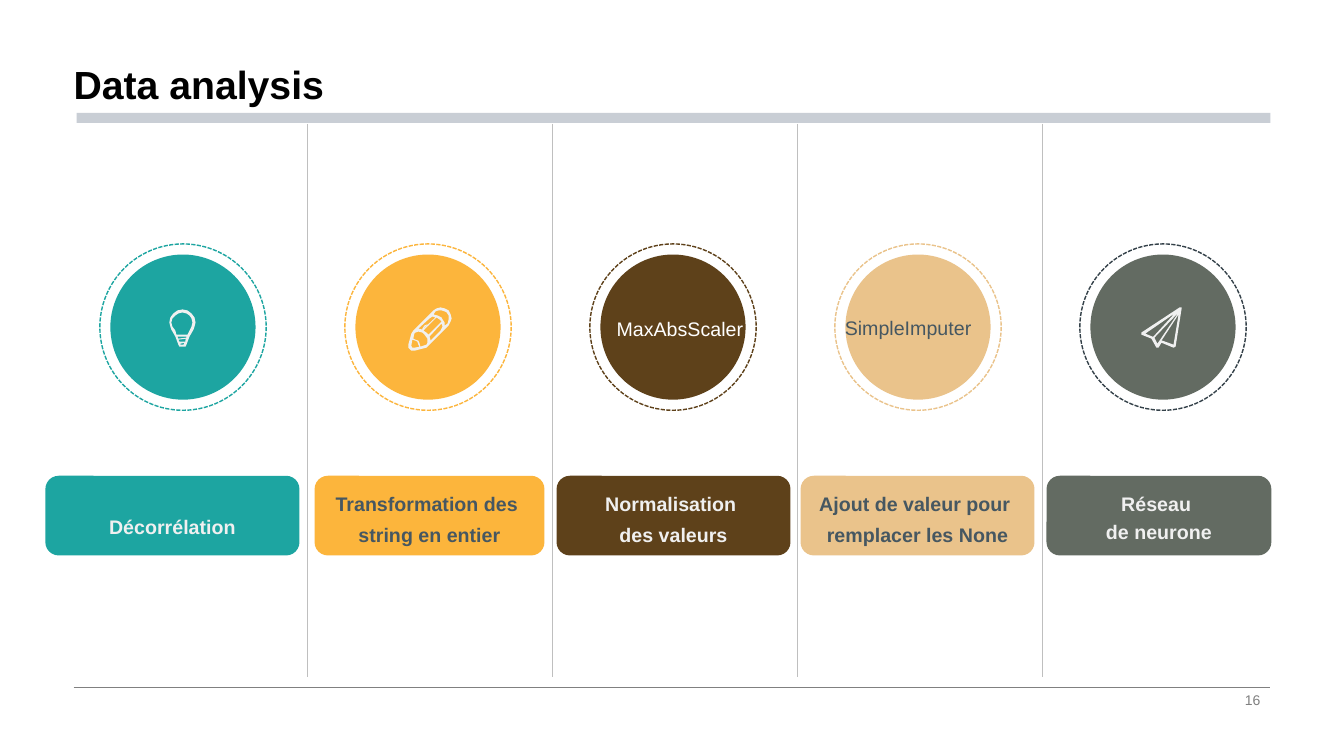
import pptx
import pptx.util
import pptx.dml.color
import pptx.enum.dml
import pptx.enum.shapes
import pptx.enum.text
import pptx.oxml

Inch, Pt = pptx.util.Inches, pptx.util.Pt
Kind = pptx.enum.shapes.MSO_SHAPE
Align = pptx.enum.text.PP_ALIGN
Anchor = pptx.enum.text.MSO_ANCHOR

# Content: label lines, fill, ring, text colour, bar left, bar width, line spacing
TITLE, PAGE = "Data analysis", "16"
PALE, SLATE = "F0F0F0", "465761"
STEPS = [
    (["Décorrélation"], "1DA5A1", "1DA5A1", PALE, 0.45, 2.52, 1.9),
    (["Transformation des ", "string en entier"], "FCB53C", "FCB53C", SLATE, 3.12, 2.28, 1.3),
    (["Normalisation ", "des valeurs"], "5E411A", "5E411A", PALE, 5.52, 2.32, 1.3),
    (["Ajout de valeur pour ", "remplacer les None"], "EAC38B", "EAC38B", SLATE, 7.94, 2.32, 1.3),
    (["Réseau ", "de neurone"], "636B62", "344149", PALE, 10.38, 2.23, 1.2),
]
TOOLS = [
    ("MaxAbsScaler", 5.82, 3.09, 1.65, "FFFFFF", Align.RIGHT),
    ("SimpleImputer", 8.28, 3.08, 1.71, SLATE, Align.LEFT),
]

# Icon outlines in hundredths of an inch, from each icon's own corner
BULB = [
    [(13, 0), (8, 1), (4, 4), (1, 8), (0, 13), (1, 17), (2, 20), (6, 27), (9, 35), (10, 37), (13, 37),
     (16, 37), (17, 35), (20, 27), (24, 20), (25, 17), (26, 13), (25, 8), (22, 4), (18, 1)],
    [(16, 32), (10, 32), (9, 30), (17, 29), (16, 30)],
    [(9, 29), (8, 27), (17, 27), (17, 28)],
    [(13, 35), (11, 35), (11, 34), (15, 33), (14, 35)],
    [(18, 25), (7, 25), (6, 21), (3, 17), (2, 13), (3, 9), (6, 6), (9, 4), (13, 3), (17, 4), (20, 6),
     (22, 9), (23, 13), (22, 17), (20, 21)],
]
PENCIL = [
    [(40, 3), (36, 1), (32, 0), (28, 1), (25, 3), (5, 23), (3, 26), (0, 37), (0, 40), (3, 43), (6, 43),
     (18, 40), (20, 38), (40, 18), (42, 14), (43, 11), (42, 7)],
    [(22, 32), (21, 29), (33, 16), (34, 19), (33, 21), (32, 23), (22, 33)],
    [(20, 27), (18, 25), (15, 23), (28, 10), (31, 12), (33, 14)],
    [(14, 22), (10, 21), (21, 11), (24, 9), (27, 10)],
    [(6, 40), (4, 40), (3, 38), (4, 32), (7, 33), (9, 34), (10, 37), (11, 39)],
    [(12, 39), (11, 35), (10, 33), (7, 32), (5, 31), (6, 26), (7, 25), (10, 24), (14, 25), (16, 27),
     (19, 31), (19, 35), (18, 37)],
    [(39, 16), (36, 18), (36, 15), (34, 12), (33, 10), (29, 8), (25, 7), (27, 4), (30, 3), (33, 3),
     (36, 4), (38, 5), (40, 8), (40, 12)],
]
SHINE = [[(6, 0), (4, 0), (2, 1), (0, 4), (0, 5), (1, 6), (2, 5), (2, 3), (4, 1), (6, 1)]]
PLANE = [
    [(39, 0), (38, 0), (0, 25), (0, 27), (10, 31), (15, 40), (17, 40), (20, 35), (32, 40), (34, 39),
     (40, 1), (40, 0)],
    [(4, 26), (33, 6), (12, 29), (11, 29)],
    [(13, 30), (37, 5), (16, 36)],
    [(32, 37), (21, 33), (20, 33), (37, 7)],
]
ICONS = [(BULB, 1.68, 3.07), (PENCIL, 4.05, 3.05), (SHINE, 4.19, 3.22), (PLANE, 11.32, 3.05)]

# Grid
WIDE, HIGH = 13.33, 7.5
PITCH, RING, DISC = 2.43, 1.65, 1.44
RING_X, RING_Y = 0.99, 2.42
BAR_Y, BAR_H = 4.72, 0.79


def rgb(code):
    return pptx.dml.color.RGBColor.from_string(code)


def box(*sides):
    return [Inch(side) for side in sides]


def paint(shape, fill=None):
    shape.shadow.inherit = False
    shape.line.fill.background()
    if fill:
        shape.fill.solid()
        shape.fill.fore_color.rgb = rgb(fill)
    else:
        shape.fill.background()
    return shape


def rule(x1, y1, x2, y2, code, width):
    line = slide.shapes.add_connector(
        pptx.enum.shapes.MSO_CONNECTOR.STRAIGHT, *box(x1, y1, x2, y2))
    line.line.color.rgb = rgb(code)
    line.line.width = Pt(width)
    line._element.spPr.append(pptx.oxml.parse_xml(
        '<a:effectLst xmlns:a="http://schemas.openxmlformats.org/drawingml/2006/main"/>'))


def write(shape, lines, size, code, align, bold=False, gap=None, anchor=Anchor.MIDDLE):
    frame = shape.text_frame
    frame.text = "\n".join(lines)
    frame.vertical_anchor = anchor
    for para in frame.paragraphs:
        para.alignment = align
        para.line_spacing = gap
        for run in para.runs:
            run.font.name, run.font.size, run.font.bold = "Arial", Pt(size), bold
            run.font.color.rgb = rgb(code)
    return frame


def trace(parts, left, top):
    pen = slide.shapes.build_freeform(*parts[0][0], scale=Inch(0.01))
    for i, part in enumerate(parts):
        if i:
            pen.move_to(*part[0])
        pen.add_line_segments(part[1:], close=True)
    paint(pen.convert_to_shape(*box(left, top)), PALE)


deck = pptx.Presentation()
deck.slide_width, deck.slide_height = box(WIDE, HIGH)
slide = deck.slides.add_slide(deck.slide_layouts[5])

# Title, band and footer
rule(0.73, 6.82, 12.6, 6.82, "808080", 0.5)
paint(slide.shapes.add_shape(Kind.RECTANGLE, *box(0.76, 1.12, 11.84, 0.1)), "C9CED5")
head = slide.shapes.title
head.left, head.top, head.width, head.height = box(0.73, 0, 11.87, 1.12)
frame = write(head, [TITLE], 28, "000000", Align.LEFT, True, 0.9, Anchor.BOTTOM)
frame.margin_left = frame.margin_right = 0
page = slide.shapes.add_textbox(*box(9.42, 6.83, 3.18, 0.23))
write(page, [PAGE], 10, "808080", Align.RIGHT)

# One column per step: disc, dashed ring, label bar
inset = (RING - DISC) / 2
for i, (lines, fill, edge, ink, left, width, gap) in enumerate(STEPS):
    x = RING_X + i * PITCH
    paint(slide.shapes.add_shape(
        Kind.OVAL, *box(x + inset, RING_Y + inset, DISC, DISC)), fill)
    ring = paint(slide.shapes.add_shape(Kind.OVAL, *box(x, RING_Y, RING, RING)))
    ring.line.color.rgb = rgb(edge)
    ring.line.width = Pt(1)
    ring.line.dash_style = pptx.enum.dml.MSO_LINE.SQUARE_DOT
    bar = paint(slide.shapes.add_shape(
        Kind.ROUNDED_RECTANGLE, *box(left, BAR_Y, width, BAR_H)), fill)
    write(bar, lines, 14, ink, Align.CENTER, True, gap).word_wrap = False

# Column dividers
for i in range(1, len(STEPS)):
    x = 0.62 + i * PITCH
    rule(x, 1.23, x, 6.72, "BFBFBF", 0.25)

# Icons and tool names
for icon in ICONS:
    trace(*icon)
for name, left, top, width, ink, align in TOOLS:
    label = slide.shapes.add_textbox(*box(left, top, width, 0.34))
    write(label, [name], 14, ink, align).word_wrap = True

deck.save("out.pptx")
